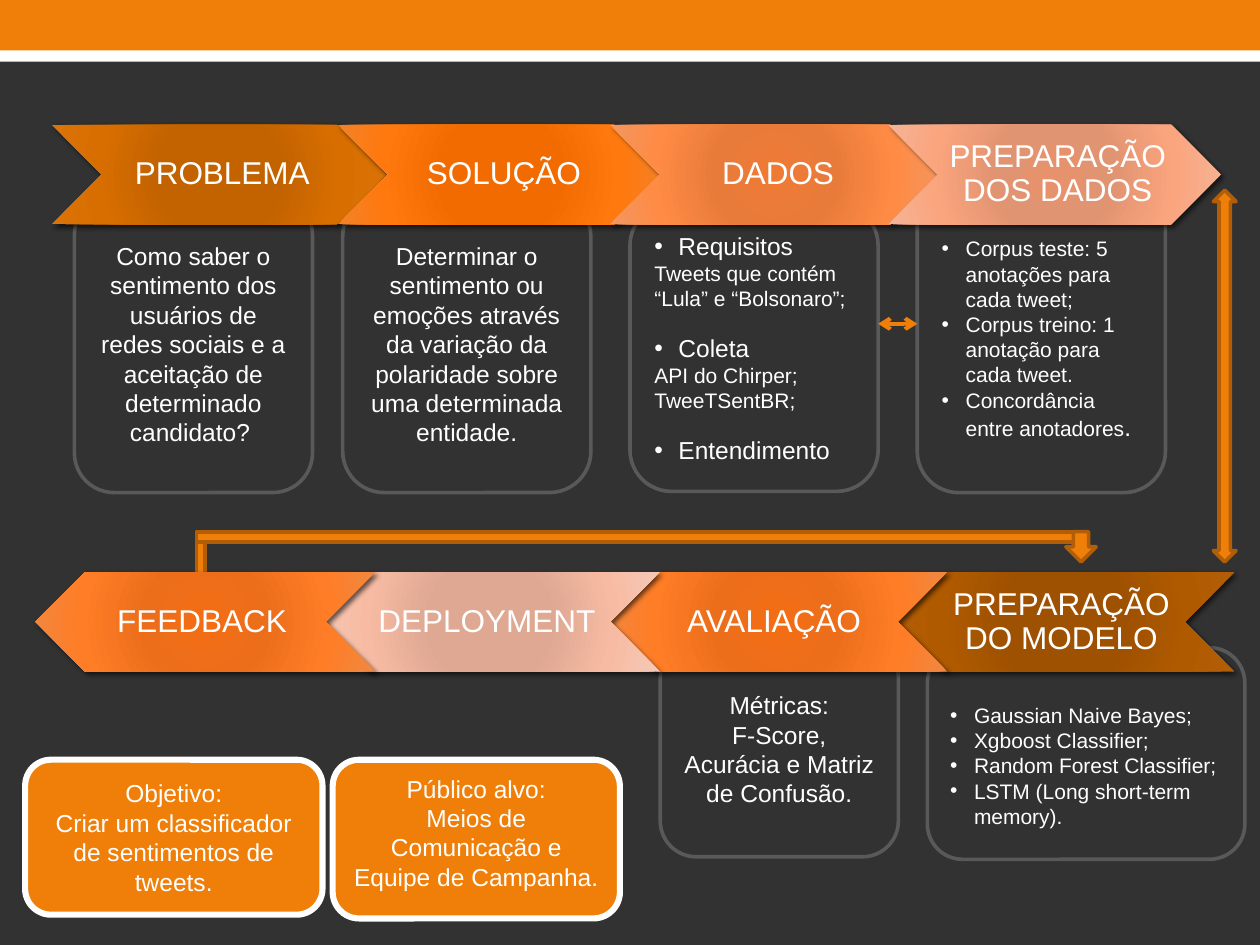
from lxml import etree
from pptx import Presentation
from pptx.dml.color import RGBColor
from pptx.enum.shapes import MSO_CONNECTOR, MSO_SHAPE
from pptx.enum.text import MSO_ANCHOR, PP_ALIGN
from pptx.oxml import parse_xml
from pptx.oxml.ns import qn
from pptx.util import Inches, Pt

COLORS = {
    "background": "323232", "white": "FFFFFF", "orange": "F07F09",
    "dark_orange": "B25E07", "gray": "595959",
}
# Gradient stops at 0, 34, 70 and 100 percent
GRADIENTS = {
    "brown": ["C26300", "C26300", "D86E00", "DA7308"],
    "vivid": ["F26B00", "F26B00", "FF790F", "F28228"],
    "coral": ["EF7A34", "E87B3A", "FF8B45", "F29761"],
    "salmon": ["E5926D", "E19471", "FBA57E", "F4B497"],
    "dark": ["9E5100", "9E5100", "B05A00", "B25E07"],
    "bright": ["F36D14", "EC6E1B", "FF7D26", "F08842"],
    "pale": ["E0A78F", "DEA892", "F7BBA3", "F6C9B7"],
}
DRAWING = 'xmlns:a="http://schemas.openxmlformats.org/drawingml/2006/main"'

presentation = Presentation()
presentation.slide_width, presentation.slide_height = Inches(10), Inches(7.5)
slide = presentation.slides.add_slide(presentation.slide_layouts[6])
slide.background.fill.solid()
slide.background.fill.fore_color.rgb = RGBColor.from_string(COLORS["background"])


def add_block(kind, place, fill=None, line=None, width=2.08):
    shape = slide.shapes.add_shape(kind, *[Inches(value) for value in place])
    shape.shadow.inherit = False
    if fill:
        shape.fill.solid()
        shape.fill.fore_color.rgb = RGBColor.from_string(COLORS[fill])
    else:
        shape.fill.background()
    if line:
        shape.line.color.rgb = RGBColor.from_string(COLORS[line])
        shape.line.width = Pt(width)
    else:
        shape.line.fill.background()
    return shape


def add_text(shape, paragraphs, anchor=MSO_ANCHOR.MIDDLE, line_spacing=None, **insets):
    """Each paragraph is (style, space before, [(text, size), ...])."""
    frame = shape.text_frame
    frame_format = {"word_wrap": True, "vertical_anchor": anchor}
    frame_format.update({name: Inches(value) for name, value in insets.items()})
    for name, value in frame_format.items():
        setattr(frame, name, value)
    for index, (style, gap, runs) in enumerate(paragraphs):
        paragraph = frame.paragraphs[0] if index == 0 else frame.add_paragraph()
        paragraph_format = {
            "alignment": PP_ALIGN.CENTER if style == "center" else PP_ALIGN.LEFT,
            "space_before": Pt(gap),
            "line_spacing": line_spacing,
        }
        for name, value in paragraph_format.items():
            setattr(paragraph, name, value)
        if style == "bullet":
            properties = paragraph._p.get_or_add_pPr()
            properties.set("marL", str(Inches(0.19)))
            properties.set("indent", str(-Inches(0.19)))
            etree.SubElement(properties, qn("a:buFont")).set("typeface", "Arial")
            etree.SubElement(properties, qn("a:buChar")).set("char", "•")
        for text, size in runs:
            run = paragraph.add_run()
            run.text = text
            for name, value in {"name": "Arial", "size": Pt(size)}.items():
                setattr(run.font, name, value)
            run.font.color.rgb = RGBColor.from_string(COLORS["white"])


# Top bands
add_block(MSO_SHAPE.RECTANGLE, (0, 0.24, 10, 0.25), "white")
add_block(MSO_SHAPE.RECTANGLE, (0, 0, 10, 0.4), "orange")

# Highlighted goal and audience boxes
highlights = [
    ((0.2, 6.03, 2.36, 1.23), MSO_ANCHOR.MIDDLE,
     ["Objetivo:", "Criar um classificador de sentimentos de tweets."]),
    ((2.64, 6.03, 2.28, 1.26), MSO_ANCHOR.TOP,
     ["Público alvo:", "Meios de Comunicação e Equipe de Campanha."]),
]
for place, anchor, texts in highlights:
    box = add_block(MSO_SHAPE.ROUNDED_RECTANGLE, place, "orange", "white", 3.5)
    add_text(box, [("center", 0, [(text, 14)]) for text in texts], anchor)

# Feedback path behind the chevrons
for place in [(1.56, 4.3, 0.07, 0.31), (1.56, 4.22, 6.98, 0.08)]:
    add_block(MSO_SHAPE.RECTANGLE, place, "orange", "dark_orange")

# Outlined detail boxes
details = [
    ((5.24, 5.09, 1.89, 1.71), 0.05, [
        ("center", 0, [("Métricas:", 14)]),
        ("center", 0, [("F-Score, Acurácia e Matriz de Confusão.", 14)])]),
    ((7.36, 5.14, 2.52, 1.68), 0.24, [
        ("bullet", 0, [(text, 12)]) for text in (
            "Gaussian Naive Bayes;", "Xgboost Classifier;",
            "Random Forest Classifier;", "LSTM (Long short-term memory).")]),
    ((0.59, 1.55, 1.89, 2.36), 0.05, [
        ("center", 0, [("Como saber o sentimento dos usuários de redes sociais e a "
                        "aceitação de determinado candidato? ", 14)])]),
    ((2.72, 1.55, 1.97, 2.36), 0.05, [
        ("center", 0, [("Determinar o sentimento ou emoções através da variação da "
                        "polaridade sobre uma determinada entidade.", 14)])]),
    ((5, 1.62, 1.97, 2.28), 0.05, [
        ("bullet", 0, [("Requisitos", 14)]),
        ("left", 0, [("Tweets que contém “Lula” e “Bolsonaro”;", 12)]),
        ("bullet", 12.6, [("Coleta", 14)]),
        ("left", 0, [("API do Chirper;", 12)]),
        ("left", 0, [("TweeTSentBR;", 12)]),
        ("bullet", 12.6, [("Entendimento", 14)])]),
    ((7.28, 1.47, 1.97, 2.44), 0.05, [
        ("bullet", 0, [("Corpus teste: 5 anotações para cada tweet;", 12)]),
        ("bullet", 0, [("Corpus treino: 1 anotação para cada tweet.", 12)]),
        ("bullet", 0, [("Concordância entre anotadores", 12), (".", 14)])]),
]
for place, top, paragraphs in details:
    box = add_block(MSO_SHAPE.ROUNDED_RECTANGLE, place, None, "gray")
    add_text(box, paragraphs, margin_top=top)

# Process chevrons: the upper row points right, the lower row points left
upper_row = [
    (0.41, 2.66, "brown", "PROBLEMA"), (2.68, 2.59, "vivid", "SOLUÇÃO"),
    (4.84, 2.62, "coral", "DADOS"), (7.05, 2.64, "salmon", "PREPARAÇÃO DOS DADOS"),
]
lower_row = [
    (7.1, 2.7, "dark", "PREPARAÇÃO DO MODELO"), (4.82, 2.7, "bright", "AVALIAÇÃO"),
    (2.54, 2.7, "pale", "DEPLOYMENT"), (0.28, 2.7, "bright", "FEEDBACK"),
]
for top, points_left, steps in [(0.99, False, upper_row), (4.54, True, lower_row)]:
    for left, width, gradient, label in steps:
        chevron = add_block(MSO_SHAPE.CHEVRON, (left, top, width, 0.79))
        properties = chevron._element.spPr
        if points_left:
            properties.find(qn("a:xfrm")).set("flipH", "1")
        stops = "".join(
            f'<a:gs pos="{position * 1000}"><a:srgbClr val="{color}"/></a:gs>'
            for position, color in zip((0, 34, 70, 100), GRADIENTS[gradient]))
        properties.replace(properties.find(qn("a:noFill")), parse_xml(
            f'<a:gradFill {DRAWING} rotWithShape="1"><a:gsLst>{stops}</a:gsLst>'
            '<a:path path="circle"><a:fillToRect l="100000" t="100000" '
            'r="100000" b="100000"/></a:path></a:gradFill>'))
        properties.find(qn("a:effectLst")).append(parse_xml(
            f'<a:outerShdw {DRAWING} blurRad="38100" dist="25400" dir="2700000" '
            'rotWithShape="0"><a:srgbClr val="000000"><a:alpha val="60000"/>'
            '</a:srgbClr></a:outerShdw>'))
        start, end = (0.03, 0.08) if points_left else (0.08, 0.03)
        add_text(chevron, [("center", 0, [(label, 18)])], line_spacing=0.9,
                 margin_left=start, margin_right=end,
                 margin_top=0.03, margin_bottom=0.03)

# Two-way link between data and data preparation
link = slide.shapes.add_connector(
    MSO_CONNECTOR.STRAIGHT, Inches(6.97), Inches(2.57), Inches(7.28), Inches(2.57))
link.line.color.rgb = RGBColor.from_string(COLORS["orange"])
link.line.width = Pt(2.25)
for end in ("a:headEnd", "a:tailEnd"):
    etree.SubElement(link.line._get_or_add_ln(), qn(end)).set("type", "arrow")
etree.SubElement(link._element.spPr, qn("a:effectLst"))

# Block arrows
add_block(MSO_SHAPE.DOWN_ARROW, (8.46, 4.22, 0.24, 0.24), "orange", "dark_orange")
add_block(MSO_SHAPE.UP_DOWN_ARROW, (9.63, 1.51, 0.18, 2.95), "orange", "dark_orange")

presentation.save("out.pptx")
